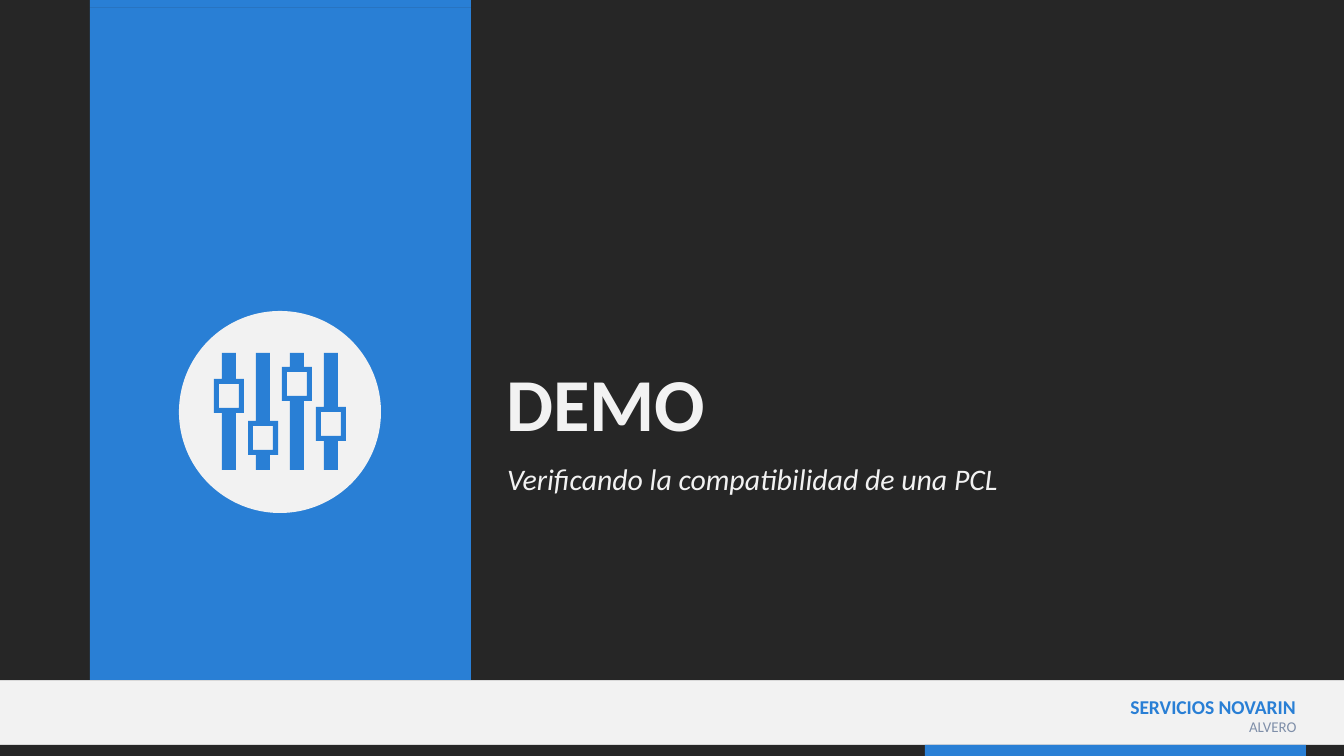
from dataclasses import dataclass

import pptx
import pptx.dml.color
import pptx.enum.shapes
import pptx.enum.text
import pptx.oxml
import pptx.oxml.ns
import pptx.util

RGBColor = pptx.dml.color.RGBColor
Align = pptx.enum.text.PP_ALIGN
Anchor = pptx.enum.text.MSO_ANCHOR
Preset = pptx.enum.shapes.MSO_SHAPE

DARK = RGBColor(0x26, 0x26, 0x26)
BLUE = RGBColor(0x29, 0x7F, 0xD5)
LIGHT = RGBColor(0xF2, 0xF2, 0xF2)
SLATE = RGBColor(0x7F, 0x8F, 0xA9)
RULE = RGBColor(0xD9, 0xD9, 0xD9)

EMU_PER_PX = 914400 / 134.4
PAGE_WIDTH, PAGE_HEIGHT = 1344, 756
PANEL_TOP, PANEL_BOTTOM = 8, 680
ACCENT_WIDTH = 381

# Slider icon
SLIDER_LEFT, SLIDER_STEP = 214, 34
TRACK_TOP, TRACK_BOTTOM, TRACK_WIDTH = 353, 470, 14
KNOB_WIDTH, KNOB_HEIGHT, KNOB_BORDER = 30, 34, 5
KNOB_TOPS = (379, 421, 367, 407)


@dataclass
class Block:
    left: int
    top: int
    width: int
    height: int
    color: RGBColor
    preset: Preset = Preset.RECTANGLE


@dataclass
class Label:
    text: str
    left: int
    top: int
    width: int
    height: int
    size: float
    color: RGBColor
    bold: bool = False
    italic: bool = False
    align: Align = Align.LEFT
    anchor: Anchor = Anchor.TOP
    line_spacing: float = 1.0


BANDS = [
    Block(0, 0, PAGE_WIDTH, 13, DARK),
    Block(90, 0, ACCENT_WIDTH, 13, BLUE),
    Block(0, 745, PAGE_WIDTH, 11, DARK),
    Block(925, 745, ACCENT_WIDTH, 11, BLUE),
]
PANELS = [
    Block(0, PANEL_TOP, PAGE_WIDTH, PANEL_BOTTOM - PANEL_TOP, DARK),
    Block(90, PANEL_TOP, ACCENT_WIDTH, PANEL_BOTTOM - PANEL_TOP, BLUE),
    Block(179, 311, 202, 202, LIGHT, Preset.OVAL),
]
LABELS = [
    Label("SERVICIOS NOVARIN", 907, 688, 402, 54, 10.5, BLUE, bold=True, align=Align.RIGHT),
    Label("ALVERO", 1067, 711, 243, 42, 8, SLATE, align=Align.RIGHT),
    Label("DEMO", 493, 360, 851, 74, 40, LIGHT, bold=True, line_spacing=0.9),
    Label("Verificando la compatibilidad de una PCL", 494, 434, 850, 90, 16, LIGHT,
          italic=True, anchor=Anchor.MIDDLE),
]


def px(length: int) -> pptx.util.Emu:
    return pptx.util.Emu(round(length * EMU_PER_PX))


def paint(shape, color: RGBColor) -> None:
    shape.shadow.inherit = False
    shape.fill.solid()
    shape.fill.fore_color.rgb = color
    shape.line.fill.background()


def draw_block(page, block: Block) -> None:
    shape = page.shapes.add_shape(block.preset, px(block.left), px(block.top),
                                  px(block.width), px(block.height))
    paint(shape, block.color)


def draw_rule(page, y: int) -> None:
    rule = page.shapes.add_connector(pptx.enum.shapes.MSO_CONNECTOR.STRAIGHT,
                                     0, px(y), px(PAGE_WIDTH), px(y))
    rule.line.color.rgb = RULE
    rule.line.width = pptx.util.Pt(0.75)
    properties = rule._element.spPr
    properties.append(pptx.oxml.parse_xml(
        f"<a:effectLst {pptx.oxml.ns.nsdecls('a')}/>"))


def draw_label(page, label: Label) -> None:
    box = page.shapes.add_textbox(px(label.left), px(label.top),
                                  px(label.width), px(label.height))
    frame = box.text_frame
    frame.word_wrap = True
    frame.vertical_anchor = label.anchor
    para = frame.paragraphs[0]
    para.text = label.text
    para.alignment = label.align
    para.line_spacing = label.line_spacing
    font = para.font
    font.name = "Calibri"
    font.size = pptx.util.Pt(label.size)
    font.bold = label.bold
    font.italic = label.italic
    font.color.rgb = label.color


def draw_slider(page, left: int, knob_top: int) -> None:
    right, knob_bottom = left + KNOB_WIDTH, knob_top + KNOB_HEIGHT
    track_left = left + (KNOB_WIDTH - TRACK_WIDTH) // 2
    track_right = track_left + TRACK_WIDTH
    outline = [
        (track_right, TRACK_TOP), (track_left, TRACK_TOP), (track_left, knob_top),
        (left, knob_top), (left, knob_bottom), (track_left, knob_bottom),
        (track_left, TRACK_BOTTOM), (track_right, TRACK_BOTTOM),
        (track_right, knob_bottom), (right, knob_bottom),
        (right, knob_top), (track_right, knob_top),
    ]
    hole_left, hole_right = left + KNOB_BORDER, right - KNOB_BORDER
    hole_top, hole_bottom = knob_top + KNOB_BORDER, knob_bottom - KNOB_BORDER
    hole = [(hole_right, hole_top), (hole_right, hole_bottom),
            (hole_left, hole_bottom), (hole_left, hole_top)]

    builder = page.shapes.build_freeform(*outline[0], scale=EMU_PER_PX)
    builder.add_line_segments(outline[1:], close=True)
    builder.move_to(*hole[0])
    builder.add_line_segments(hole[1:], close=True)
    paint(builder.convert_to_shape(), BLUE)


def main() -> None:
    deck = pptx.Presentation()
    deck.slide_width, deck.slide_height = px(PAGE_WIDTH), px(PAGE_HEIGHT)
    page = deck.slides.add_slide(deck.slide_layouts[6])
    page.background.fill.solid()
    page.background.fill.fore_color.rgb = LIGHT

    # Edge bands, divider and main panels
    for band in BANDS:
        draw_block(page, band)
    draw_rule(page, PANEL_BOTTOM)
    for panel in PANELS:
        draw_block(page, panel)

    # Slider icon
    for index, knob_top in enumerate(KNOB_TOPS):
        draw_slider(page, SLIDER_LEFT + index * SLIDER_STEP, knob_top)

    # Title, subtitle and footer
    for label in LABELS:
        draw_label(page, label)

    deck.save("out.pptx")


if __name__ == "__main__":
    main()
